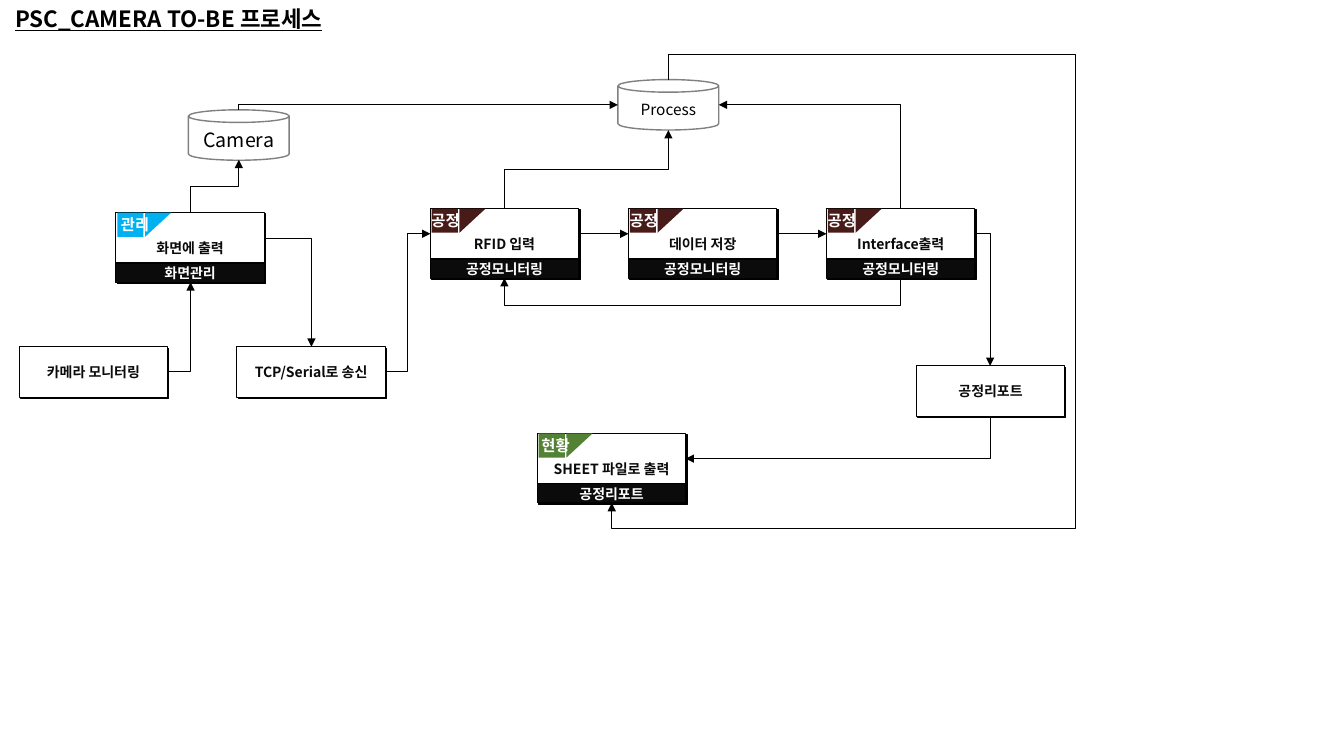
from math import cos, radians, sin

from lxml import etree
from pptx import Presentation
from pptx.dml.color import RGBColor
from pptx.enum import shapes, text
from pptx.oxml import ns
from pptx.util import Pt

FONT = "Noto Sans CJK KR"
BLACK, INK, WHITE, GREY = "000000", "0B0B0B", "FFFFFF", "808080"
BROWN, GREEN, SKY = "481A18", "548235", "00B0F0"
BOX_WIDTH, BOX_HEIGHT, BAND_HEIGHT = 106, 36, 13.7
TAG_WIDTH, TAG_HEIGHT, TAG_STEP = 18.7, 17.3, 19.8
HEADINGS = {"right": 0, "down": 90, "left": 180, "up": 270}


def color(value):
    """Turn a hex string into a colour."""
    return RGBColor.from_string(value)


def add_xml(parent, tag, **attributes):
    """Append a DrawingML element."""
    child = etree.SubElement(parent, ns.qn("a:" + tag))
    for name, value in attributes.items():
        child.set(name, str(value))
    return child


def write(box, words, size, ink, bold=True, align=text.PP_ALIGN.CENTER,
          insets=(0, 0, 0, 0), anchor=text.MSO_ANCHOR.MIDDLE):
    """Fill a shape with one styled paragraph and return it."""
    frame = box.text_frame
    frame.word_wrap = True
    frame.vertical_anchor = anchor
    (frame.margin_left, frame.margin_top,
     frame.margin_right, frame.margin_bottom) = map(Pt, insets)
    para = frame.paragraphs[0]
    para.text = words
    para.alignment = align
    font = para.font
    font.size, font.bold, font.name = Pt(size), bold, FONT
    font.color.rgb = color(ink)
    add_xml(font._rPr, "ea", typeface=FONT)
    return para


def paint(shape, fill, line=None, width=0.75):
    """Set fill and outline and remove the theme shadow."""
    shape.shadow.inherit = False
    shape.fill.solid()
    shape.fill.fore_color.rgb = color(fill)
    if line:
        shape.line.color.rgb = color(line)
        shape.line.width = Pt(width)
    else:
        shape.line.fill.background()


def add_preset(page, kind, left, top, width, height):
    """Add a preset shape measured in points."""
    return page.shapes.add_shape(kind, Pt(left), Pt(top), Pt(width), Pt(height))


def add_box(page, left, top, words, height=BOX_HEIGHT, fill=WHITE, ink=INK, drop=0):
    """Add an outlined box with a hard black shadow."""
    box = add_preset(page, shapes.MSO_SHAPE.RECTANGLE, left, top, BOX_WIDTH, height)
    paint(box, fill, BLACK)
    effects = box._element.spPr.find(ns.qn("a:effectLst"))
    shadow = add_xml(effects, "outerShdw", blurRad=0, dist=Pt(1.4),
                     dir=45 * 60000, algn="ctr", rotWithShape=0)
    add_xml(shadow, "srgbClr", val=BLACK)
    write(box, words, 10, ink, insets=(0, drop, 0, 0))


def add_card(page, left, top, words, band, tag, fill, tag_shift):
    """Add a process box with a black band and a corner tag."""
    add_box(page, left, top, words, drop=14.5)
    add_box(page, left, top + BOX_HEIGHT, band, BAND_HEIGHT, INK, WHITE)
    square = add_preset(page, shapes.MSO_SHAPE.RECTANGLE,
                        left + 1, top, TAG_WIDTH, TAG_HEIGHT)
    paint(square, fill)
    corner = left + 1 + TAG_STEP
    outline = page.shapes.build_freeform(Pt(corner), Pt(top))
    outline.add_line_segments([(Pt(corner + TAG_WIDTH), Pt(top)),
                               (Pt(corner), Pt(top + TAG_HEIGHT))])
    paint(outline.convert_to_shape(), fill)
    label = page.shapes.add_textbox(Pt(left + tag_shift), Pt(top), Pt(44.6), Pt(TAG_HEIGHT))
    write(label, tag, 11, WHITE, align=text.PP_ALIGN.LEFT, insets=(5.8, 2.9, 5.8, 2.9))


def add_store(page, left, top, words, size):
    """Add a database cylinder."""
    can = add_preset(page, shapes.MSO_SHAPE.CAN, left, top, 72, 36)
    paint(can, WHITE, GREY, 1)
    para = write(can, words, size, BLACK, bold=False)
    para.line_spacing = 1.1
    para.space_before = Pt(3)


def finish_arrow(arrow):
    """Give a connector its line, arrowhead and no shadow."""
    arrow.line.color.rgb = color(BLACK)
    arrow.line.width = Pt(0.5)
    add_xml(arrow.line._get_or_add_ln(), "tailEnd", type="triangle")
    add_xml(arrow._element.spPr, "effectLst")


def add_straight(page, start, end):
    """Add a straight arrow."""
    finish_arrow(page.shapes.add_connector(
        shapes.MSO_CONNECTOR.STRAIGHT, *map(Pt, start + end)))


def add_elbow(page, start, end, heading, *turns):
    """Add a bent arrow; turns are offsets from start, along and across its heading."""
    angle = HEADINGS[heading]
    across, down = end[0] - start[0], end[1] - start[1]
    cosine, sine = round(cos(radians(angle))), round(sin(radians(angle)))
    ahead = across * cosine + down * sine
    aside = down * cosine - across * sine
    width, height = abs(ahead), abs(aside)
    left = (start[0] + end[0] - width) / 2
    top = (start[1] + end[1] - height) / 2
    arrow = page.shapes.add_connector(
        shapes.MSO_CONNECTOR.ELBOW, Pt(left), Pt(top), Pt(left + width), Pt(top + height))
    frame = arrow._element.spPr.find(ns.qn("a:xfrm"))
    frame.set("rot", str(angle * 60000))
    frame.set("flipH", str(int(ahead < 0)))
    frame.set("flipV", str(int(aside < 0)))
    geometry = arrow._element.spPr.find(ns.qn("a:prstGeom"))
    geometry.set("prst", f"bentConnector{len(turns) + 2}")
    guides = geometry.find(ns.qn("a:avLst"))
    for number, (turn, extent) in enumerate(zip(turns, (ahead, aside, ahead)), 1):
        add_xml(guides, "gd", name=f"adj{number}",
                fmla=f"val {round(turn / extent * 100000)}")
    finish_arrow(arrow)


def main():
    """Build the process flow slide."""
    deck = Presentation()
    deck.slide_width, deck.slide_height = Pt(960), Pt(540)
    page = deck.slides.add_slide(deck.slide_layouts[6])

    title = page.shapes.add_textbox(Pt(4.3), Pt(0), Pt(769), Pt(33.8))
    heading = write(title, "PSC_CAMERA TO-BE 프로세스", 16, BLACK,
                    align=text.PP_ALIGN.LEFT, insets=(6.5, 3.6, 6.5, 3.6),
                    anchor=text.MSO_ANCHOR.TOP)
    heading.font.underline = True

    for index, words in enumerate(("RFID 입력", "데이터 저장", "Interface출력")):
        add_card(page, 307.4 + 141.5 * index, 149, words, "공정모니터링", "공정", BROWN, -5)
    add_card(page, 383.8, 309.6, "SHEET 파일로 출력", "공정리포트", "현황", GREEN, -2.9)
    add_card(page, 82.8, 151.9, "화면에 출력", "화면관리", "관리", SKY, -2.2)

    for left, top, words in ((13.7, 247.7, "카메라 모니터링"),
                             (169.2, 247.7, "TCP/Serial로 송신"),
                             (654.5, 261.4, "공정리포트")):
        add_box(page, left, top, words)

    add_store(page, 134.6, 78.5, "Camera", 14)
    add_store(page, 441.4, 56.9, "Process", 11)

    for left in (413.2, 554.7):
        add_straight(page, (left, 167), (left + 35.7, 167))
    for route in (
        ((119.5, 265), (136.1, 201.6), "right"),
        ((136.1, 151.9), (170.6, 114.1), "up", 18.9),
        ((170.6, 78.5), (441.4, 74.9), "up"),
        ((360.3, 149), (477.4, 92.9), "up", 28),
        ((643.4, 149), (513.4, 74.9), "up"),
        ((643.4, 198.8), (360.3, 198.7), "down", 17.1),
        ((696.2, 167), (707.3, 261.4), "right"),
        ((707.3, 297.4), (489.7, 327.6), "down"),
        ((188.6, 169.9), (222.5, 247.7), "right"),
        ((275, 265), (307.4, 167), "right", 16.2),
        ((477.4, 56.9), (437, 359.3), "up", 18, 290.9, -320.3),
    ):
        add_elbow(page, *route)

    deck.save("out.pptx")


if __name__ == "__main__":
    main()
